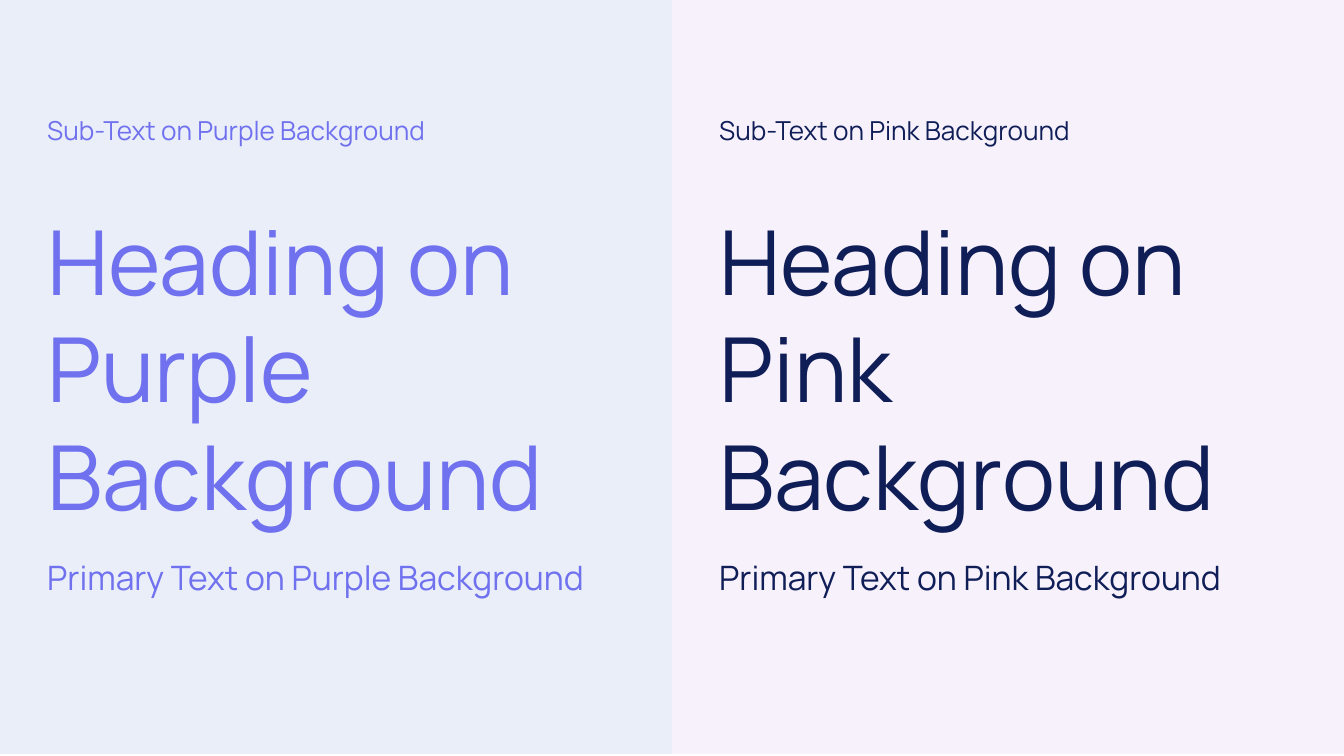
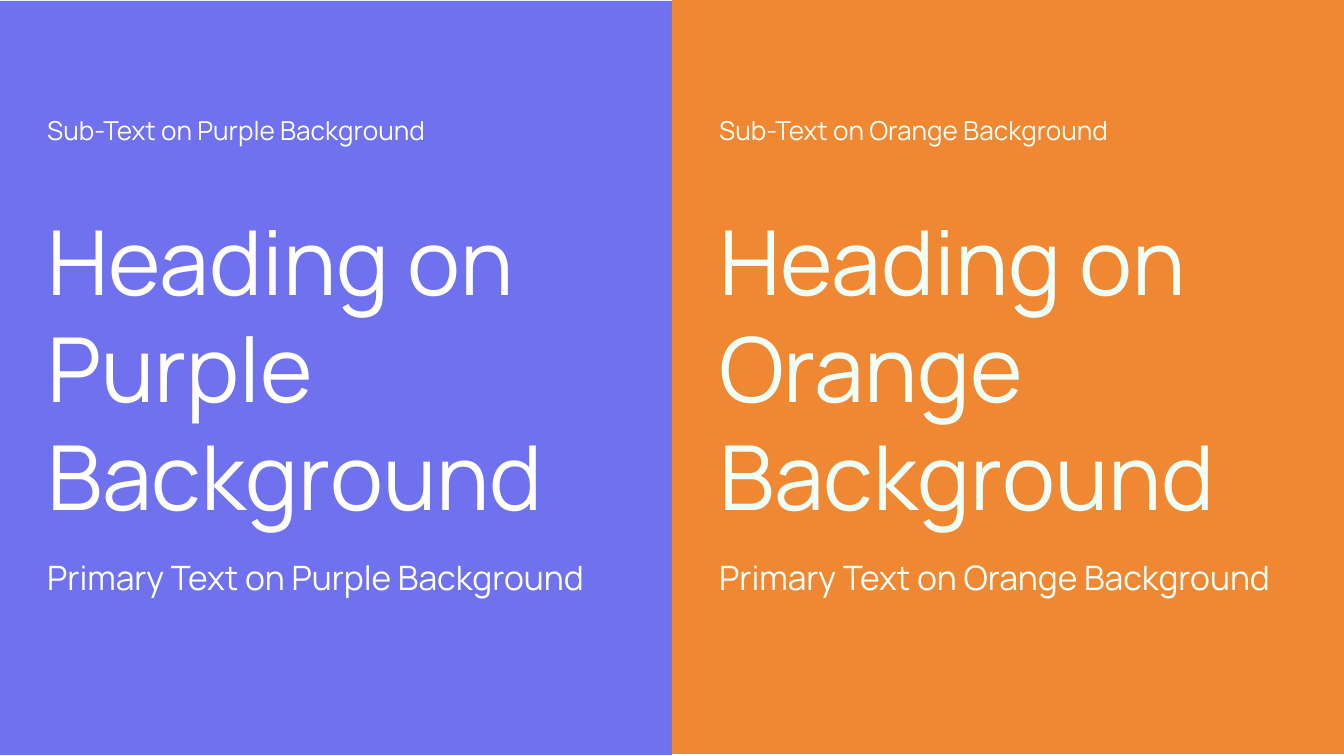
from pptx import Presentation
from pptx.dml.color import RGBColor
from pptx.enum.shapes import MSO_SHAPE
from pptx.enum.text import MSO_AUTO_SIZE
from pptx.util import Emu, Inches, Pt

SCALE = Inches(10) / 1344
WIDE, HIGH = 1344, 756
HALF = WIDE // 2
PANEL = 754
INSET = 34
SPAN = 603
FONT = "Manrope"

WHITE = RGBColor(0xFF, 0xFF, 0xFF)
PURPLE = RGBColor(0x6F, 0x71, 0xEE)
ORANGE = RGBColor(0xF0, 0x87, 0x33)
NAVY = RGBColor(0x10, 0x1E, 0x57)
MINT = RGBColor(0xF2, 0xFF, 0xF6)
MIST = RGBColor(0xEA, 0xEE, 0xF9)
PINK = RGBColor(0xF7, 0xF1, 0xFC)

LINES = (
    ("Sub-Text", 101, 59, 14),
    ("Heading", 192, 353, 48),
    ("Primary Text", 544, 109, 18),
)

SLIDES = (
    (("Purple", MIST, PURPLE, 0, 109), ("Pink", PINK, NAVY, 0, 67)),
    (("Purple", PURPLE, WHITE, 1, 109), ("Orange", ORANGE, MINT, 0, 109)),
)


def px(count):
    return Emu(round(count * SCALE))


def add_panel(slide, left, top, fill):
    panel = slide.shapes.add_shape(
        MSO_SHAPE.RECTANGLE, px(left), px(top), px(HALF), px(PANEL))
    panel.shadow.inherit = False
    panel.fill.solid()
    panel.fill.fore_color.rgb = fill
    panel.line.fill.background()


def add_text(slide, text, left, top, height, size, color):
    box = slide.shapes.add_textbox(px(left), px(top), px(SPAN), px(height))
    frame = box.text_frame
    frame.word_wrap = True
    frame.auto_size = MSO_AUTO_SIZE.SHAPE_TO_FIT_TEXT
    frame.margin_left = frame.margin_right = Inches(0.1)
    frame.margin_top = frame.margin_bottom = Inches(0.1)
    frame.text = text
    font = frame.paragraphs[0].runs[0].font
    font.name = FONT
    font.size = Pt(size)
    font.color.rgb = color


def add_half(slide, left, name, fill, color, top, last):
    add_panel(slide, left, top, fill)
    for role, line_top, height, size in LINES:
        if role == "Primary Text":
            height = last
        add_text(slide, f"{role} on {name} Background",
                 left + INSET, line_top, height, size, color)


def main():
    deck = Presentation()
    deck.slide_width, deck.slide_height = px(WIDE), px(HIGH)
    for halves in SLIDES:
        slide = deck.slides.add_slide(deck.slide_layouts[6])
        slide.background.fill.solid()
        slide.background.fill.fore_color.rgb = WHITE
        for index, half in enumerate(halves):
            add_half(slide, index * HALF, *half)
    deck.save("out.pptx")


if __name__ == "__main__":
    main()
